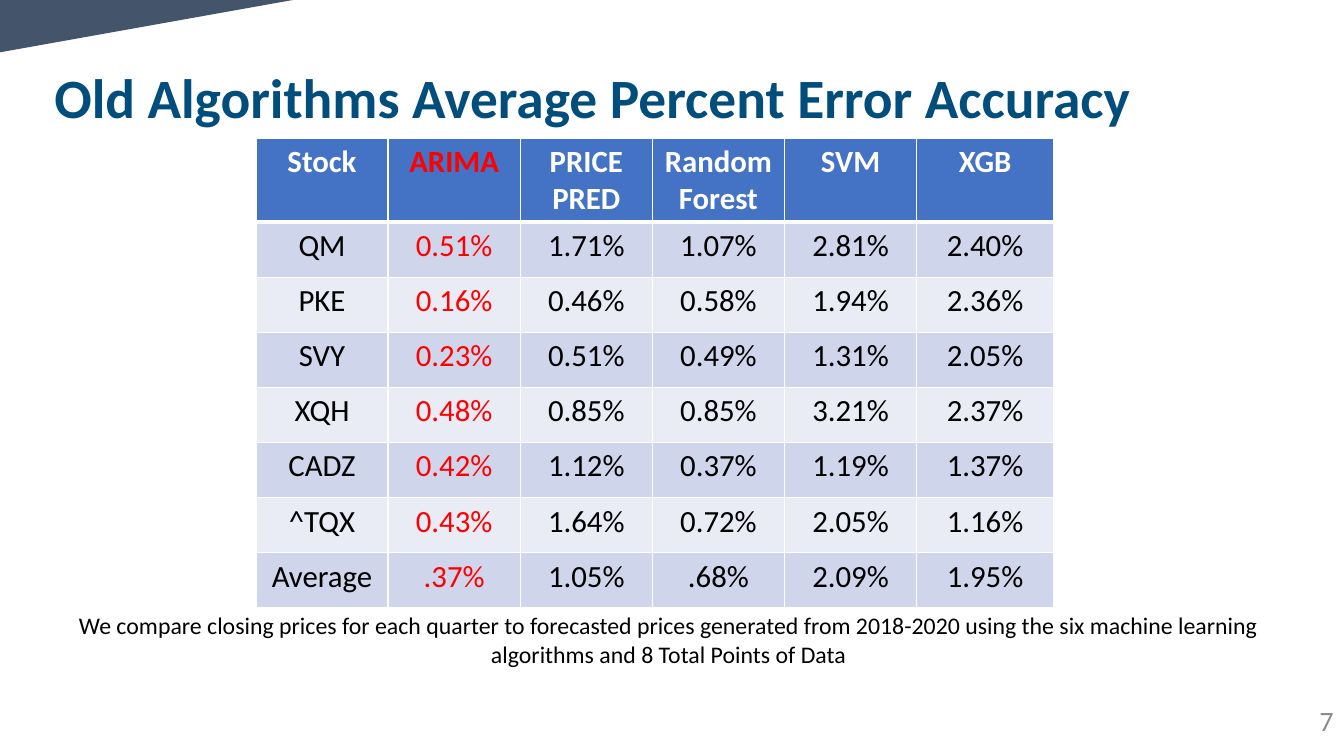
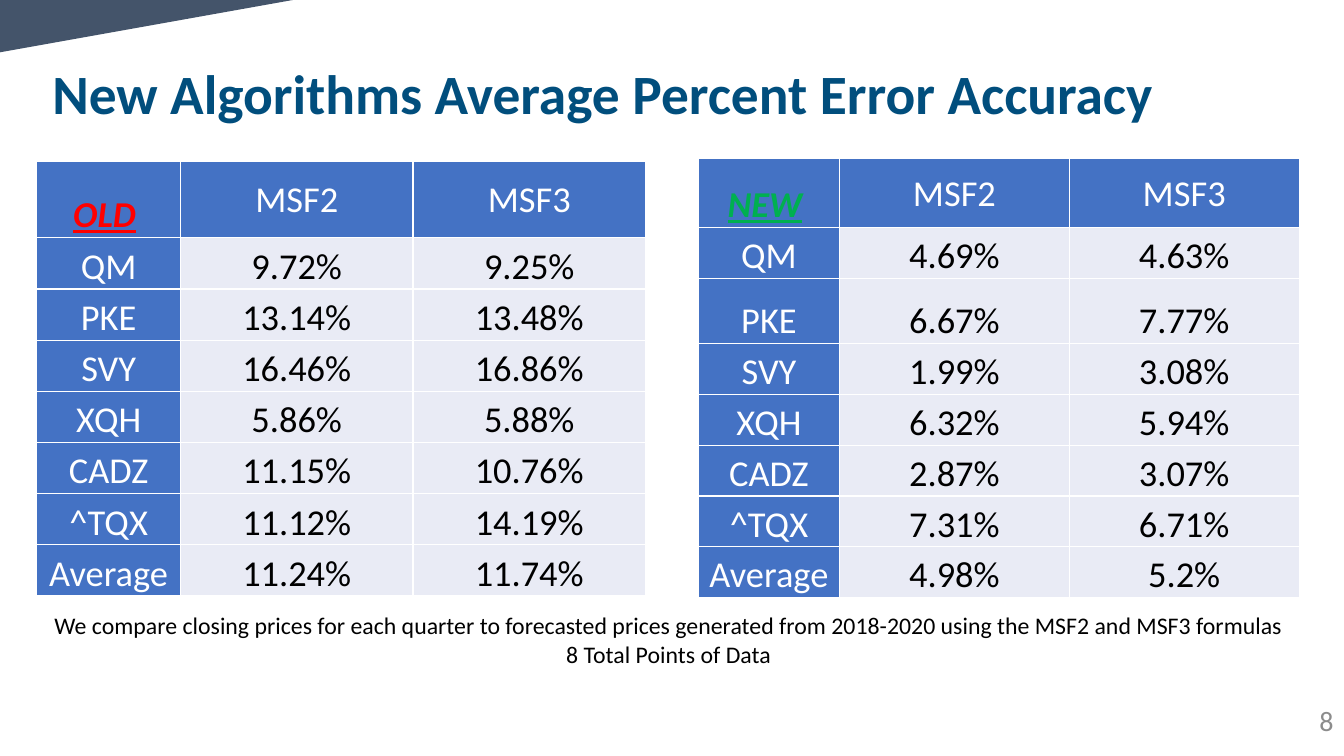
"""Builds two slides that compare the forecast errors of stock algorithms."""
import pptx
import pptx.util
import pptx.dml.color
import pptx.enum.shapes
import pptx.enum.text
import pptx.oxml.ns
import lxml.etree

Cm, Pt = pptx.util.Cm, pptx.util.Pt
ALIGN = pptx.enum.text.PP_ALIGN
ANCHOR = pptx.enum.text.MSO_ANCHOR
FONT = "Calibri"
COLORS = {
    "title": "014E7D", "corner": "44546A", "number": "8C8C8C",
    "header": "4472C4", "odd": "CFD5EA", "even": "E9EBF5",
    "white": "FFFFFF", "black": "000000", "red": "FF0000", "green": "00B050",
}
STOCKS = ["QM", "PKE", "SVY", "XQH", "CADZ", "^TQX", "Average"]
PAGES = [
    {
        "title": "Old Algorithms Average Percent Error Accuracy",
        "title_at": (1.12, 0.46),
        "number": "7",
        "caption": ["We compare closing prices for each quarter to forecasted prices generated from "
                    "2018-2020 using the six machine learning algorithms and\u00a08 Total Points of Data"],
        "tables": [{
            "style": "banded", "at": (6.45, 3.48),
            "columns": [3.33] * 5 + [3.45], "rows": [2.11] + [1.39] * 7,
            "header": ["Stock", "ARIMA", "PRICE PRED", "Random Forest", "SVM", "XGB"],
            "values": [
                ["0.51%", "1.71%", "1.07%", "2.81%", "2.40%"],
                ["0.16%", "0.46%", "0.58%", "1.94%", "2.36%"],
                ["0.23%", "0.51%", "0.49%", "1.31%", "2.05%"],
                ["0.48%", "0.85%", "0.85%", "3.21%", "2.37%"],
                ["0.42%", "1.12%", "0.37%", "1.19%", "1.37%"],
                ["0.43%", "1.64%", "0.72%", "2.05%", "1.16%"],
                [".37%", "1.05%", ".68%", "2.09%", "1.95%"],
            ],
        }],
    },
    {
        "title": "New Algorithms Average Percent Error Accuracy",
        "title_at": (1.07, 0.36),
        "number": "8",
        "caption": ["We compare closing prices for each quarter to forecasted prices generated from "
                    "2018-2020 using the MSF2 and MSF3 formulas", "8 Total Points of Data"],
        "tables": [
            {
                "style": "framed", "accent": "red", "at": (0.93, 4.07),
                "columns": [3.62, 5.86, 5.86], "rows": [1.92] + [1.29] * 7,
                "header": ["OLD", "MSF2", "MSF3"],
                "values": [
                    ["9.72%", "9.25%"], ["13.14%", "13.48%"], ["16.46%", "16.86%"],
                    ["5.86%", "5.88%"], ["11.15%", "10.76%"], ["11.12%", "14.19%"],
                    ["11.24%", "11.74%"],
                ],
            },
            {
                "style": "framed", "accent": "green", "at": (17.6, 4.0),
                "columns": [3.56, 5.79, 5.79], "rows": [1.73, 1.28, 1.65] + [1.28] * 5,
                "header": ["NEW", "MSF2", "MSF3"],
                "values": [
                    ["4.69%", "4.63%"], ["6.67%", "7.77%"], ["1.99%", "3.08%"],
                    ["6.32%", "5.94%"], ["2.87%", "3.07%"], ["7.31%", "6.71%"],
                    ["4.98%", "5.2%"],
                ],
            },
        ],
    },
]


def rgb(name):
    return pptx.dml.color.RGBColor.from_string(COLORS[name])


def style_span(span, size, color, bold=False, slanted=False):
    font = span.font
    font.name, font.size, font.bold = FONT, Pt(size), bold
    font.italic = font.underline = slanted
    font.color.rgb = rgb(color)


def add_text(page, place, lines, size, color, align, anchor, bold=False, spacing=None):
    box = page.shapes.add_textbox(*map(Cm, place))
    frame = box.text_frame
    frame.word_wrap = True
    frame.vertical_anchor = anchor
    frame.text = "\n".join(lines)
    for para in frame.paragraphs:
        para.alignment = align
        para.line_spacing = spacing
        for span in para.runs:
            style_span(span, size, color, bold)


def add_corner(page):
    corner = page.shapes.add_shape(
        pptx.enum.shapes.MSO_SHAPE.RIGHT_TRIANGLE, 0, 0, Cm(7.39), Cm(1.32))
    corner.shadow.inherit = False
    corner.fill.solid()
    corner.fill.fore_color.rgb = rgb("corner")
    corner.line.fill.background()
    corner.element.spPr.xfrm.set("flipV", "1")


def add_borders(cell, bottom_width):
    properties = cell._tc.get_or_add_tcPr()
    widths = {"a:lnL": 1, "a:lnR": 1, "a:lnT": 1, "a:lnB": bottom_width}
    for index, (tag, width) in enumerate(widths.items()):
        line = lxml.etree.Element(pptx.oxml.ns.qn(tag), w=str(Pt(width)))
        fill = lxml.etree.SubElement(line, pptx.oxml.ns.qn("a:solidFill"))
        lxml.etree.SubElement(fill, pptx.oxml.ns.qn("a:srgbClr"), val=COLORS["white"])
        properties.insert(index, line)


def cell_look(banded, row, column):
    """Returns fill, text colour and text size of a cell."""
    if banded:
        fill = "header" if row == 0 else "odd" if row % 2 else "even"
        color = "red" if column == 1 else "black" if row else "white"
        return fill, color, 22
    if row == 0 or column == 0:
        return "header", "white", 26
    return "even", "black", 26


def add_error_table(page, content):
    banded = content["style"] == "banded"
    columns, rows = content["columns"], content["rows"]
    grid = [content["header"]] + [[stock] + values for stock, values in zip(STOCKS, content["values"])]
    left, top = content["at"]
    table = page.shapes.add_table(
        len(rows), len(columns), Cm(left), Cm(top), Cm(sum(columns)), Cm(sum(rows))).table
    for column, width in zip(table.columns, columns):
        column.width = Cm(width)
    for row, height in zip(table.rows, rows):
        row.height = Cm(height)
    for r, texts in enumerate(grid):
        for c, text in enumerate(texts):
            cell = table.cell(r, c)
            fill, color, size = cell_look(banded, r, c)
            cell.fill.solid()
            cell.fill.fore_color.rgb = rgb(fill)
            add_borders(cell, 3 if banded and r == 0 else 1)
            cell.text_frame.text = text
            para = cell.text_frame.paragraphs[0]
            para.alignment = ALIGN.CENTER
            style_span(para.runs[0], size, color, banded and r == 0)
            if banded:
                continue
            cell.margin_left = cell.margin_right = cell.margin_top = Cm(0.03)
            cell.margin_bottom = 0
            cell.vertical_anchor = ANCHOR.MIDDLE if r == 0 and c else ANCHOR.BOTTOM
            if r == 0 and c == 0:
                style_span(para.runs[0], size, content["accent"], True, True)
                tail = para.add_run()
                tail.text = "\u00a0"
                style_span(tail, size, color)


deck = pptx.Presentation()
deck.slide_width, deck.slide_height = Cm(33.87), Cm(19.05)
for content in PAGES:
    page = deck.slides.add_slide(deck.slide_layouts[6])
    add_corner(page)
    add_text(page, (*content["title_at"], 31.72, 2.95), [content["title"]], 39.6, "title",
             ALIGN.LEFT, ANCHOR.BOTTOM, bold=True, spacing=0.9)
    add_text(page, (31.8, 17.65, 2.06, 1.02), [content["number"]], 20, "number",
             ALIGN.RIGHT, ANCHOR.MIDDLE)
    add_text(page, (0.91, 15.27, 31.88, 1.7), content["caption"], 17, "black",
             ALIGN.CENTER, ANCHOR.TOP)
    for table_content in content["tables"]:
        add_error_table(page, table_content)
deck.save("out.pptx")
